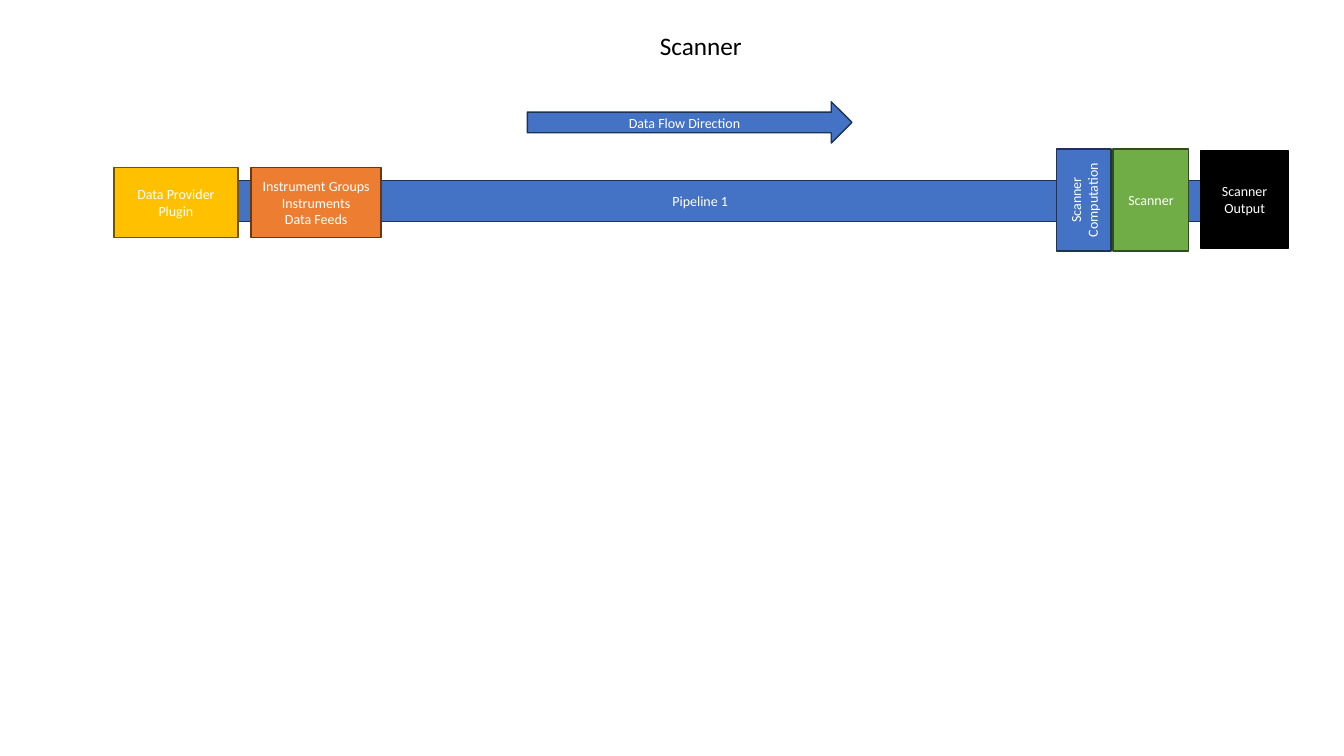
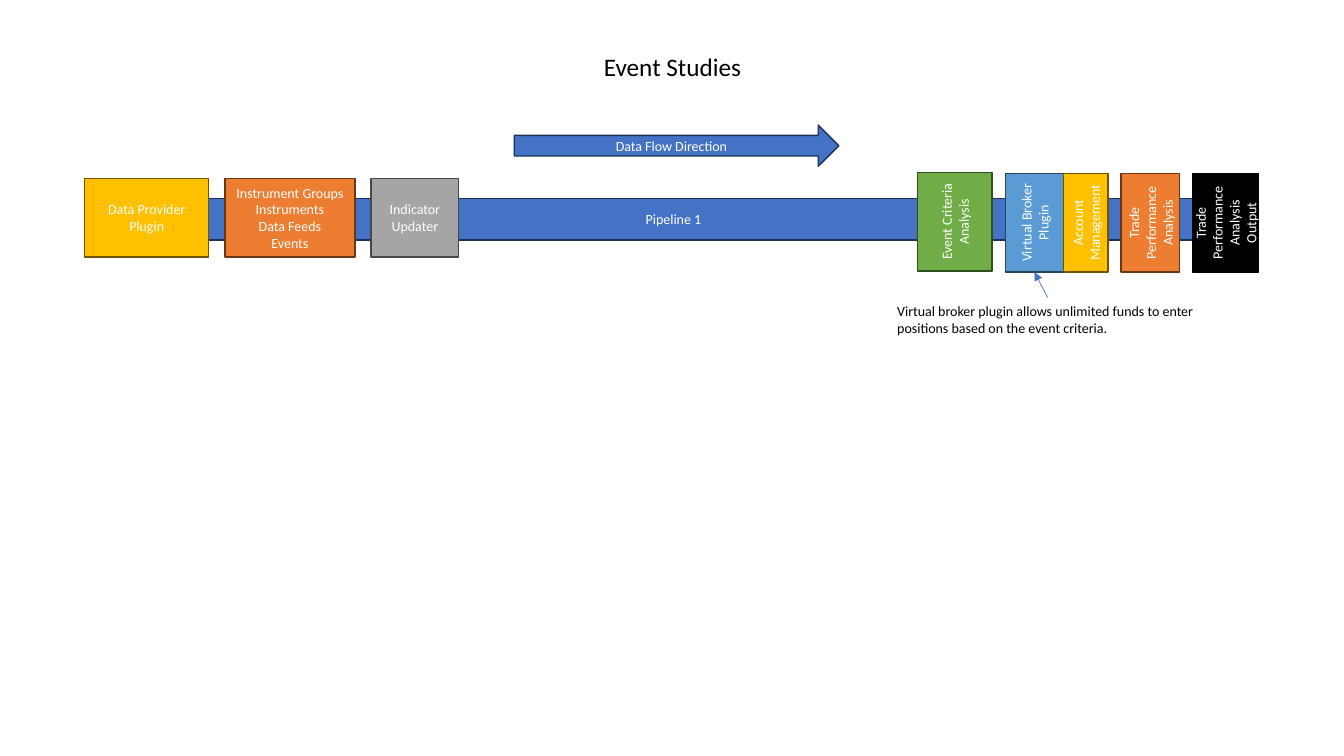
import pptx
import pptx.util
import pptx.dml.color
import pptx.enum.shapes
import pptx.enum.text
import pptx.oxml
import pptx.oxml.ns
from dataclasses import dataclass, field

Inches = pptx.util.Inches
Pt = pptx.util.Pt
SHAPES = pptx.enum.shapes.MSO_SHAPE
ALIGN = pptx.enum.text.PP_ALIGN
ANCHOR = pptx.enum.text.MSO_ANCHOR


@dataclass(frozen=True)
class Theme:
    font: str = "Calibri"
    title_size: int = 18
    body_size: int = 10
    outline: float = 1
    pointer_width: float = 0.5
    ink: str = "000000"
    paper: str = "FFFFFF"
    # Fill and outline of each kind of stage
    stages: dict = field(default_factory=lambda: {
        "blue": ("4472C4", "1E3256"),
        "sky": ("5B9BD5", "28445D"),
        "gold": ("FFC000", "705400"),
        "orange": ("ED7D31", "683715"),
        "green": ("70AD47", "314C1F"),
        "gray": ("A5A5A5", "484848"),
        "black": ("000000", "000000"),
    })


THEME = Theme()

# Content: boxes are (left, top, width, height) in inches.
# A row of stages shares top and height; each stage is
# (text, colour, left, width, reads upward).
FLOW_SIZE = (3.22, 0.41)
PIPELINE_HEIGHT = 0.41
SLIDES = [
    {
        "title": ("Scanner", (1.2, 0.24, 11.5, 0.46)),
        "pipeline": (1.13, 1.79, 11.63),
        "flow": (5.23, 1.01),
        "rows": [
            (1.66, 0.7, [
                ("Data Provider Plugin", "gold", 1.13, 1.23, False),
                ("Instrument Groups\nInstruments\nData Feeds",
                 "orange", 2.49, 1.29, False),
            ]),
            (1.48, 1.01, [
                ("Scanner Computation", "blue", 10.48, 0.54, True),
                ("Scanner", "green", 11.04, 0.75, False),
            ]),
            (1.5, 0.96, [
                ("Scanner\nOutput", "black", 11.91, 0.87, False),
            ]),
        ],
    },
    {
        "title": ("Event Studies", (0.92, 0.4, 11.5, 0.55)),
        "pipeline": (1.08, 1.97, 11.2),
        "flow": (5.1, 1.24),
        "rows": [
            (1.77, 0.78, [
                ("Data Provider Plugin", "gold", 0.84, 1.23, False),
                ("Instrument Groups\nInstruments\nData Feeds\nEvents",
                 "orange", 2.23, 1.29, False),
                ("Indicator\nUpdater", "gray", 3.68, 0.87, False),
            ]),
            (1.71, 0.98, [
                ("Event Criteria Analysis", "green", 9.1, 0.74, True),
            ]),
            (1.72, 0.98, [
                ("Virtual Broker Plugin", "sky", 9.97, 0.58, True),
                ("Account\nManagement", "gold", 10.55, 0.44, True),
                ("Trade\nPerformance\nAnalysis", "orange", 11.12, 0.58, True),
                ("Trade Performance Analysis Output",
                 "black", 11.83, 0.65, True),
            ]),
        ],
        "note": {
            "text": "Virtual broker plugin allows unlimited funds to enter "
                    "positions based on the event criteria.",
            "box": (8.8, 2.95, 3.18, 0.44),
            "pointer": (10.39, 2.95, 10.26, 2.7),
        },
    },
]


def inches(values):
    return [Inches(value) for value in values]


def rgb(code):
    return pptx.dml.color.RGBColor.from_string(code)


def write(frame, text, size, color, align=ALIGN.CENTER, anchor=ANCHOR.MIDDLE):
    frame.text = text
    frame.word_wrap = True
    frame.vertical_anchor = anchor
    for paragraph in frame.paragraphs:
        paragraph.alignment = align
        for run in paragraph.runs:
            run.font.name = THEME.font
            run.font.size = Pt(size)
            run.font.color.rgb = rgb(color)


def add_title(slide, text, box):
    title = slide.shapes.title
    title.left, title.top, title.width, title.height = inches(box)
    write(title.text_frame, text, THEME.title_size, THEME.ink)
    title.text_frame.paragraphs[0].line_spacing = 0.9


def add_stage(slide, text, color, box, upward=False, outline=SHAPES.RECTANGLE):
    stage = slide.shapes.add_shape(outline, *inches(box))
    fill, line = THEME.stages[color]
    stage.shadow.inherit = False
    stage.fill.solid()
    stage.fill.fore_color.rgb = rgb(fill)
    stage.line.color.rgb = rgb(line)
    stage.line.width = Pt(THEME.outline)
    write(stage.text_frame, text, THEME.body_size, THEME.paper)
    if upward:
        stage.element.txBody.bodyPr.set("vert", "vert270")


def add_note(slide, text, box, pointer):
    note = slide.shapes.add_textbox(*inches(box))
    write(note.text_frame, text, THEME.body_size, THEME.ink,
          ALIGN.LEFT, ANCHOR.TOP)
    arrow = slide.shapes.add_connector(
        pptx.enum.shapes.MSO_CONNECTOR.STRAIGHT, *inches(pointer))
    arrow.line.color.rgb = rgb(THEME.stages["blue"][0])
    arrow.line.width = Pt(THEME.pointer_width)
    # Arrowhead at the end, no shadow
    head = pptx.oxml.parse_xml(
        f'<a:tailEnd {pptx.oxml.ns.nsdecls("a")} type="triangle"/>')
    arrow.line._get_or_add_ln().append(head)
    arrow.element.spPr.append(pptx.oxml.parse_xml(
        f'<a:effectLst {pptx.oxml.ns.nsdecls("a")}/>'))


def build_slide(deck, content):
    slide = deck.slides.add_slide(deck.slide_layouts.get_by_name("Title Only"))
    add_title(slide, *content["title"])

    # Pipeline band behind the stages, and the direction arrow above it
    add_stage(slide, "Pipeline 1", "blue",
              (*content["pipeline"], PIPELINE_HEIGHT))
    add_stage(slide, "Data Flow Direction", "blue",
              (*content["flow"], *FLOW_SIZE), outline=SHAPES.RIGHT_ARROW)

    # Stages along the pipeline
    for top, height, stages in content["rows"]:
        for text, color, left, width, upward in stages:
            add_stage(slide, text, color, (left, top, width, height), upward)

    if "note" in content:
        add_note(slide, **content["note"])


def main():
    deck = pptx.Presentation()
    deck.slide_width, deck.slide_height = inches((13.33, 7.5))
    for content in SLIDES:
        build_slide(deck, content)
    deck.save("out.pptx")


if __name__ == "__main__":
    main()
